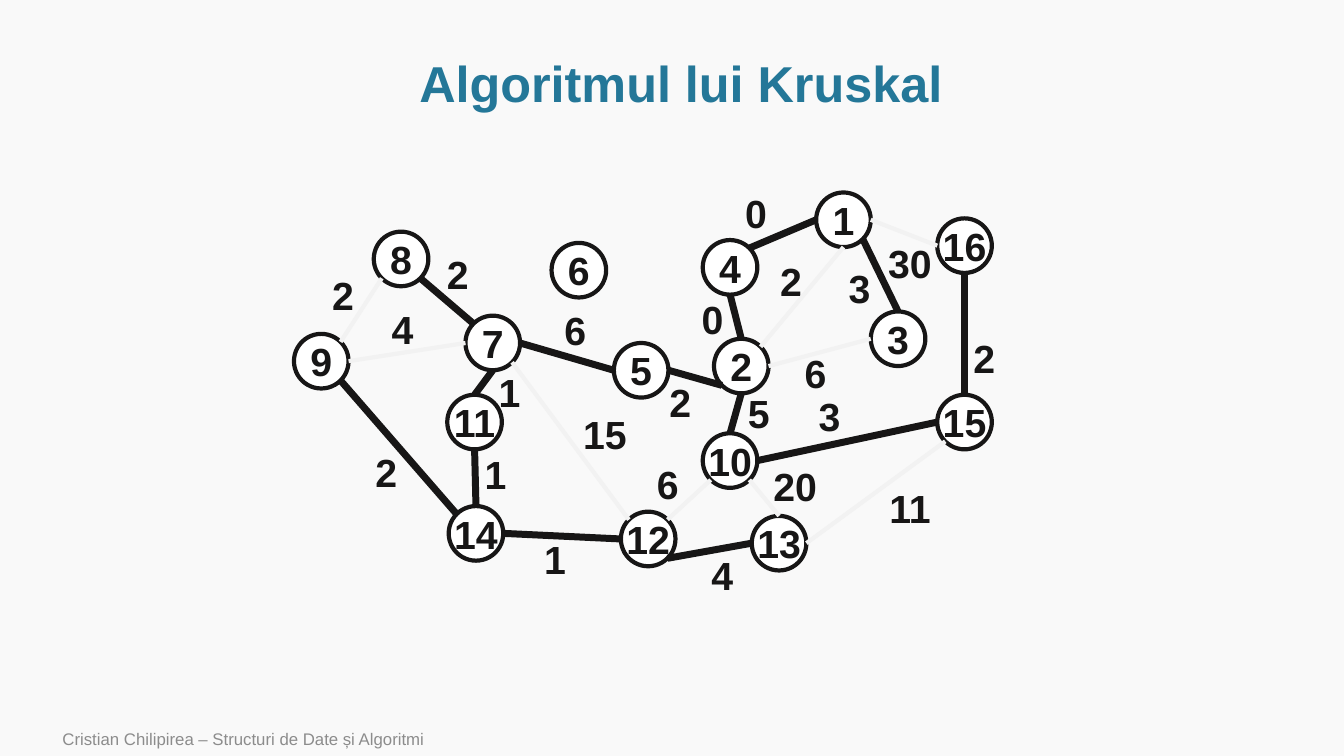
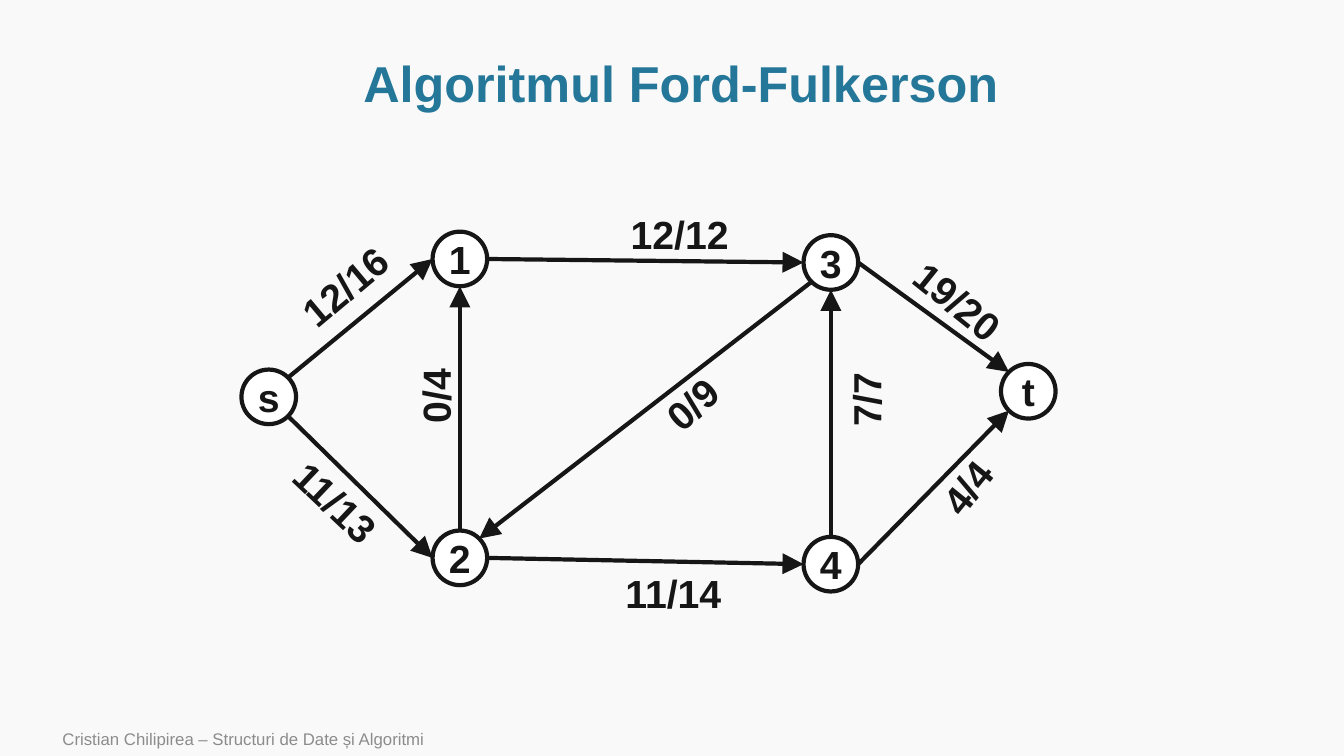
"""Builds two slides with weighted graphs: Kruskal and Ford-Fulkerson."""
import math

from lxml import etree
from pptx import Presentation
from pptx.dml.color import RGBColor
from pptx.enum import shapes, text
from pptx.oxml.ns import qn
from pptx.util import Pt

PAPER = RGBColor(0xF9, 0xF9, 0xF9)
WHITE = RGBColor(0xFF, 0xFF, 0xFF)
INK = RGBColor(0x17, 0x16, 0x16)
FAINT = RGBColor(0xF2, 0xF2, 0xF2)
TEAL = RGBColor(0x24, 0x77, 0x98)
GREY = RGBColor(0x8C, 0x8C, 0x8C)

FONT = "Arial"
FOOTER = "Cristian Chilipirea – Structuri de Date și Algoritmi"
NODE_SIZE = 39
LABEL_HEIGHT = 41
ANGLES = {side: math.radians(45 * i) for i, side in
          enumerate(["E", "SE", "S", "SW", "W", "NW", "N", "NE"])}

KRUSKAL_NODES = {
    "1": (373, 0.5), "2": (300, 105), "3": (412, 85.5), "4": (292, 34.5),
    "5": (228.5, 108), "6": (184, 36.5), "7": (122.5, 88.5), "8": (57, 28.5),
    "9": (0, 101.5), "10": (292, 172.5), "11": (109.5, 145), "12": (233.5, 228.5),
    "13": (327, 231.5), "14": (110.5, 224.5), "15": (459.5, 145), "16": (459.5, 19),
}
KRUSKAL_TREE = [
    ("7", "E", "5", "W", "6", 201, 99),
    ("7", "NW", "8", "SE", "2", 117, 59),
    ("5", "E", "2", "SW", "2", 276, 150),
    ("2", "N", "4", "S", "0", 299, 91),
    ("4", "NE", "1", "W", "0", 330, 15),
    ("3", "N", "1", "SE", "3", 404, 68.5),
    ("7", "S", "11", "N", "1", 154, 143),
    ("11", "S", "14", "N", "1", 144, 201.5),
    ("13", "W", "12", "SE", "4", 306, 274),
    ("15", "W", "10", "E", "3", 382.5, 160),
    ("16", "S", "15", "N", "2", 493, 119),
    ("2", "S", "10", "N", "5", 332, 158),
    ("14", "E", "12", "W", "1", 186.5, 262),
    ("14", "NW", "9", "SE", "2", 66, 200.5),
]
KRUSKAL_REST = [
    ("9", "NE", "8", "SW", "2", 35, 73.5),
    ("9", "E", "7", "W", "4", 77.5, 98),
    ("1", "S", "2", "NE", "2", 355, 63.5),
    ("2", "E", "3", "W", "6", 372.5, 129.5),
    ("7", "SE", "12", "NW", "15", 222, 173),
    ("12", "NE", "10", "SW", "6", 267, 209),
    ("10", "SE", "13", "N", "20", 358, 210),
    ("13", "E", "15", "SW", "11", 440, 226),
    ("1", "E", "16", "W", "30", 440, 51),
]
FLOW_NODES = {
    "s": (0, 98.5), "1": (136.5, 0), "2": (136.5, 213.5),
    "3": (401.5, 2.5), "4": (401.5, 218), "t": (542.5, 94.5),
}
FLOW_EDGES = [
    ("s", "NE", "1", "W", "12/16", 74, 39, 320),
    ("s", "SE", "2", "W", "11/13", 67.5, 193, 43.4),
    ("2", "N", "1", "S", "0/4", 138.5, 117.5, 270),
    ("1", "E", "3", "W", "12/12", 313, 2),
    ("2", "E", "4", "W", "11/14", 308.5, 258),
    ("3", "SW", "2", "NE", "0/9", 322, 123, 318.3),
    ("4", "N", "3", "S", "7/7", 446, 120, 270),
    ("3", "E", "t", "NW", "19/20", 512, 49.5, 38.8),
    ("4", "E", "t", "SW", "4/4", 518.5, 182.5, 309),
]


def write(sp, words, size=28, color=INK, bold=True, align=text.PP_ALIGN.CENTER,
          anchor=text.MSO_ANCHOR.TOP, wrap=True, spacing=None):
    """Put one formatted paragraph into a shape."""
    tf = sp.text_frame
    tf.word_wrap = wrap
    tf.vertical_anchor = anchor
    p = tf.paragraphs[0]
    p.alignment = align
    p.line_spacing = spacing
    r = p.add_run()
    r.text = words
    r.font.name = FONT
    r.font.size = Pt(size)
    r.font.bold = bold
    r.font.color.rgb = color


def add_box(s, x, y, w, h, words, **style):
    """Add a text box and return it."""
    sp = s.shapes.add_textbox(Pt(x), Pt(y), Pt(w), Pt(h))
    write(sp, words, **style)
    return sp


def add_label(s, x, y, words, width, rotation=0):
    """Add an edge label centred on a point."""
    sp = add_box(s, x - width / 2, y - LABEL_HEIGHT / 2, width, LABEL_HEIGHT, words)
    sp.rotation = rotation


def add_node(s, x, y, name):
    """Add a named graph node."""
    sp = s.shapes.add_shape(shapes.MSO_SHAPE.OVAL, Pt(x), Pt(y),
                            Pt(NODE_SIZE), Pt(NODE_SIZE))
    sp.shadow.inherit = False
    sp.fill.solid()
    sp.fill.fore_color.rgb = WHITE
    sp.line.color.rgb = INK
    sp.line.width = Pt(3)
    write(sp, name, anchor=text.MSO_ANCHOR.MIDDLE, wrap=False)


def rim(x, y, side):
    """Return the point on a node's rim at a compass side."""
    radius = NODE_SIZE / 2
    return (Pt(x + radius + radius * math.cos(ANGLES[side])),
            Pt(y + radius + radius * math.sin(ANGLES[side])))


def add_edge(s, start, end, color, width, arrow):
    """Add a straight edge between two rim points."""
    edge = s.shapes.add_connector(shapes.MSO_CONNECTOR.STRAIGHT, *start, *end)
    edge.line.color.rgb = color
    edge.line.width = Pt(width)
    sp_pr = edge._element.spPr
    if arrow:
        etree.SubElement(sp_pr.find(qn("a:ln")), qn("a:tailEnd"),
                         type="triangle", w="lg", len="lg")
    etree.SubElement(sp_pr, qn("a:effectLst"))


def add_graph(s, left, top, nodes, groups, label_width, arrow=False):
    """Draw labels, nodes and styled groups of edges from a corner point."""
    spots = {name: (left + x, top + y) for name, (x, y) in nodes.items()}
    for edges, _, _ in groups:
        for _, _, _, _, words, x, y, *rotation in edges:
            add_label(s, left + x, top + y, words, label_width, *rotation)
    for name, spot in spots.items():
        add_node(s, *spot, name)
    for edges, color, width in groups:
        for a, a_side, b, b_side, *_ in edges:
            add_edge(s, rim(*spots[a], a_side), rim(*spots[b], b_side),
                     color, width, arrow)


def add_slide(prs, title):
    """Add a slide with the shared title and footer."""
    s = prs.slides.add_slide(prs.slide_layouts[6])
    add_box(s, 72.5, 36.5, 828, 50, title, size=36, color=TEAL,
            anchor=text.MSO_ANCHOR.MIDDLE, spacing=0.9)
    add_box(s, 37.5, 515.5, 605, 24.5, FOOTER, size=12, color=GREY, bold=False,
            align=text.PP_ALIGN.LEFT, anchor=text.MSO_ANCHOR.MIDDLE)
    return s


def main():
    """Build and save the presentation."""
    prs = Presentation()
    prs.slide_width, prs.slide_height = Pt(960), Pt(540)
    fill = prs.slide_master.background.fill
    fill.solid()
    fill.fore_color.rgb = PAPER

    s = add_slide(prs, "Algoritmul lui Kruskal")
    add_graph(s, 210, 137, KRUSKAL_NODES,
              [(KRUSKAL_REST, FAINT, 3), (KRUSKAL_TREE, INK, 5)], label_width=50)

    s = add_slide(prs, "Algoritmul Ford-Fulkerson")
    add_graph(s, 172.5, 165.5, FLOW_NODES, [(FLOW_EDGES, INK, 3)],
              label_width=105, arrow=True)

    prs.save("out.pptx")


if __name__ == "__main__":
    main()
